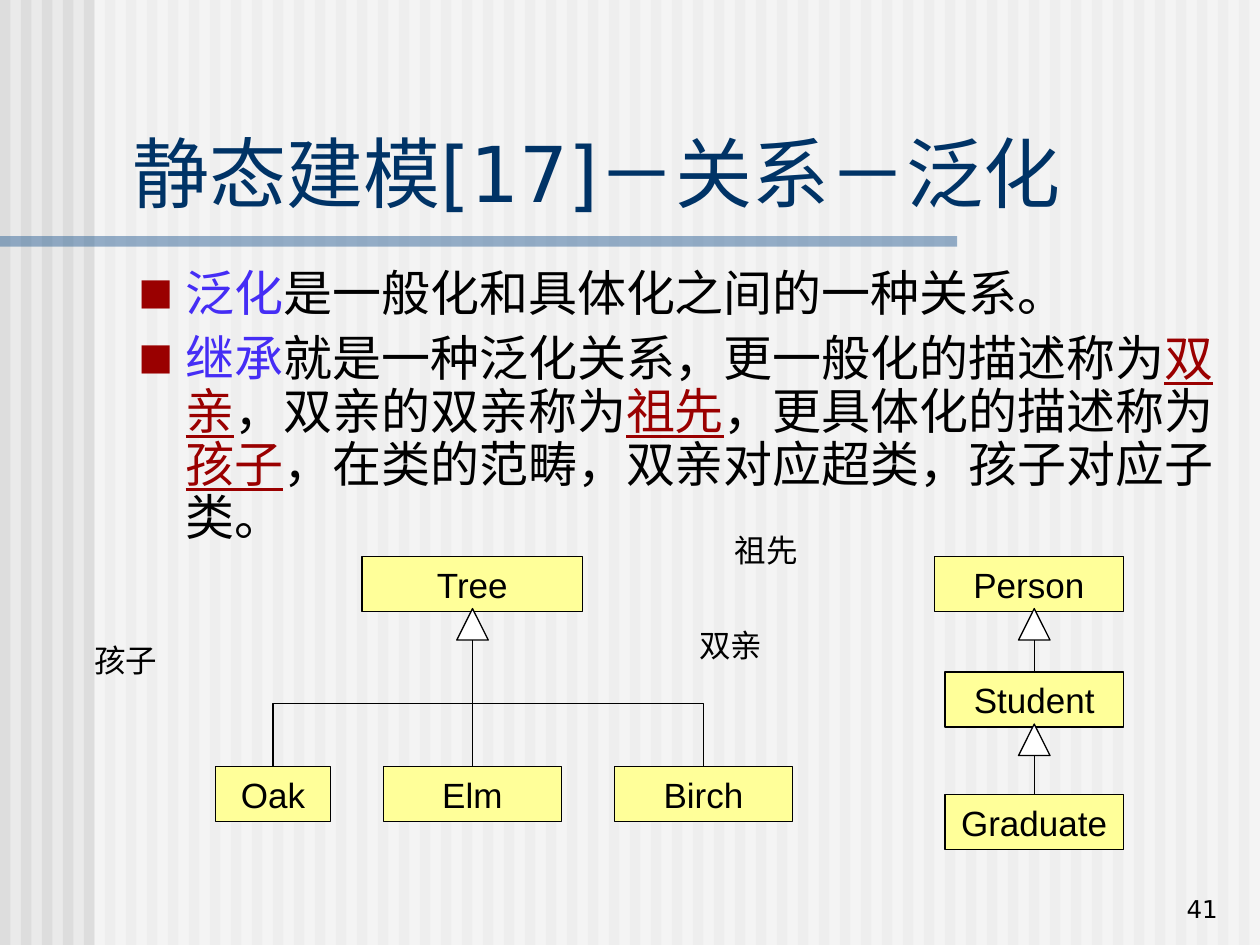
from lxml import etree
from pptx import Presentation
from pptx.dml.color import RGBColor
from pptx.enum.shapes import MSO_CONNECTOR, MSO_SHAPE
from pptx.enum.text import MSO_ANCHOR, PP_ALIGN
from pptx.oxml.ns import qn
from pptx.util import Pt

RECT, TRIANGLE = MSO_SHAPE.RECTANGLE, MSO_SHAPE.ISOSCELES_TRIANGLE
STRAIGHT, ELBOW = MSO_CONNECTOR.STRAIGHT, MSO_CONNECTOR.ELBOW
TOP, MIDDLE, BOTTOM = MSO_ANCHOR.TOP, MSO_ANCHOR.MIDDLE, MSO_ANCHOR.BOTTOM
LEFT, CENTER, RIGHT = PP_ALIGN.LEFT, PP_ALIGN.CENTER, PP_ALIGN.RIGHT

COLORS = {
    "background": "EAEAEA", "stripe": "DDDDDD", "white": "FFFFFF",
    "rule": "336699", "title": "003366", "text": "000000",
    "topic": "452DF5", "term": "9A0000", "class": "FFFF99",
}
HEADING_FONT, DIAGRAM_FONT = "DejaVu Sans", "Arial"

# Content; lengths in points
WIDTH, HEIGHT = 720, 540
TITLE = "静态建模[17]－关系－泛化"
BULLETS = [
    [("泛化", "topic"), ("是一般化和具体化之间的一种关系。", "text")],
    [("继承", "topic"), ("就是一种泛化关系，更一般化的描述称为", "text"),
     ("双亲", "term"), ("，双亲的双亲称为", "text"),
     ("祖先", "term"), ("，更具体化的描述称为", "text"),
     ("孩子", "term"), ("，在类的范畴，双亲对应超类，孩子对应子类。", "text")],
]
CLASSES = {  # name: (left, top, width)
    "Tree": (206.9, 318, 126), "Oak": (123, 438, 66),
    "Elm": (219, 438, 102), "Birch": (351, 438, 102),
    "Person": (534, 318, 108), "Student": (540, 384, 102),
    "Graduate": (540, 454, 102),
}
GENERALIZATIONS = [  # parent, triangle centre, children
    ("Tree", 270, ["Oak", "Elm", "Birch"]),
    ("Person", 591, ["Student"]),
    ("Student", 591, ["Graduate"]),
]
ROLES = [("孩子", 36, 363, 72), ("双亲", 381.5, 354, 72), ("祖先", 397.5, 300, 81)]
PAGE_NUMBER = "41"
CLASS_HEIGHT, TRIANGLE_SIZE, OVERLAP = 31.5, 18, 1.75
STRIPE_PITCH, STRIPE_WIDTH = 12, 6


def rgb(name):
    return RGBColor.from_string(COLORS[name])


def add_block(kind, left, top, width, height, fill, alpha=None, outline=False):
    block = slide.shapes.add_shape(kind, Pt(left), Pt(top), Pt(width), Pt(height))
    block.shadow.inherit = False
    block.fill.solid()
    block.fill.fore_color.rgb = rgb(fill)
    if alpha:
        color = block._element.spPr.find(qn("a:solidFill"))[0]
        etree.SubElement(color, qn("a:alpha"), val=str(alpha * 1000))
    if outline:
        block.line.color.rgb = rgb("text")
        block.line.width = Pt(0.75)
    else:
        block.line.fill.background()
    return block


def add_textbox(left, top, width, height):
    return slide.shapes.add_textbox(Pt(left), Pt(top), Pt(width), Pt(height))


def write(holder, text, size, font, color="text", align=LEFT, anchor=MIDDLE):
    frame = holder.text_frame
    frame.word_wrap = True
    frame.vertical_anchor = anchor
    paragraph = frame.paragraphs[0]
    paragraph.text = text
    paragraph.alignment = align
    paragraph.font.size = Pt(size)
    paragraph.font.name = font
    paragraph.font.color.rgb = rgb(color)


def add_link(kind, x1, y1, x2, y2):
    link = slide.shapes.add_connector(kind, Pt(x1), Pt(y1), Pt(x2), Pt(y2))
    link.line.color.rgb = rgb("text")
    link.line.width = Pt(0.75)
    etree.SubElement(link._element.spPr, qn("a:effectLst"))
    return link


def add_vertical_elbow(x1, y1, x2, y2):
    # Laid out a quarter turn back, then rotated so it leaves vertically
    cx, cy, dx, dy = (x1 + x2) / 2, (y1 + y2) / 2, (x2 - x1) / 2, (y2 - y1) / 2
    link = add_link(ELBOW, cx - dy, cy + dx, cx + dy, cy - dx)
    link._element.spPr.find(qn("a:xfrm")).set("rot", str(90 * 60000))


def add_square_bullet(paragraph):
    props = paragraph._p.get_or_add_pPr()
    props.set("marL", str(Pt(27)))
    props.set("indent", str(-Pt(27)))
    color = etree.SubElement(props, qn("a:buClr"))
    etree.SubElement(color, qn("a:srgbClr"), val=COLORS["term"])
    etree.SubElement(props, qn("a:buSzPct"), val="75000")
    etree.SubElement(props, qn("a:buFont"), typeface=HEADING_FONT)
    etree.SubElement(props, qn("a:buChar"), char="■")


prs = Presentation()
prs.slide_width, prs.slide_height = Pt(WIDTH), Pt(HEIGHT)
slide = prs.slides.add_slide(prs.slide_layouts[6])

# Striped background, pale panel and title rule
slide.background.fill.solid()
slide.background.fill.fore_color.rgb = rgb("background")
for x in range(0, WIDTH, STRIPE_PITCH):
    add_block(RECT, x, 0, STRIPE_WIDTH, HEIGHT, "stripe")
add_block(RECT, 54, 0, WIDTH - 54, HEIGHT, "white", alpha=50)
add_block(RECT, 0, 135, 547, 6, "rule", alpha=50)

# Title and bullets
write(add_textbox(68.5, 67.5, 643, 60.5), TITLE, 44, HEADING_FONT, "title", anchor=BOTTOM)
body = add_textbox(72, 150, 638.5, 180).text_frame
body.word_wrap = True
for index, pieces in enumerate(BULLETS):
    paragraph = body.add_paragraph() if index else body.paragraphs[0]
    paragraph.line_spacing = 0.9
    paragraph.space_before = Pt(7)
    paragraph.font.size = Pt(28)
    paragraph.font.name = HEADING_FONT
    add_square_bullet(paragraph)
    for text, color in pieces:
        run = paragraph.add_run()
        run.text = text
        run.font.color.rgb = rgb(color)
        if color == "term":
            run.font.underline = True

# Class boxes
for name, (left, top, width) in CLASSES.items():
    box = add_block(RECT, left, top, width, CLASS_HEIGHT, "class", outline=True)
    write(box, name, 20, DIAGRAM_FONT, align=CENTER)

# Generalization triangles and links
for parent, x, children in GENERALIZATIONS:
    tip = CLASSES[parent][1] + CLASS_HEIGHT - OVERLAP
    base = tip + TRIANGLE_SIZE
    add_block(TRIANGLE, x - TRIANGLE_SIZE / 2, tip, TRIANGLE_SIZE, TRIANGLE_SIZE,
              "white", outline=True)
    for child in children:
        left, top, width = CLASSES[child]
        center = left + width / 2
        if abs(center - x) < 1:
            add_link(STRAIGHT, x, base, x, top)
        else:
            add_vertical_elbow(x, base, center, top)

# Role labels and page number
for role, left, top, width in ROLES:
    write(add_textbox(left, top, width, 29), role, 18, DIAGRAM_FONT, align=CENTER, anchor=TOP)
write(add_textbox(553, 495, 150, 36), PAGE_NUMBER, 14, HEADING_FONT, align=RIGHT, anchor=BOTTOM)

prs.save("out.pptx")
